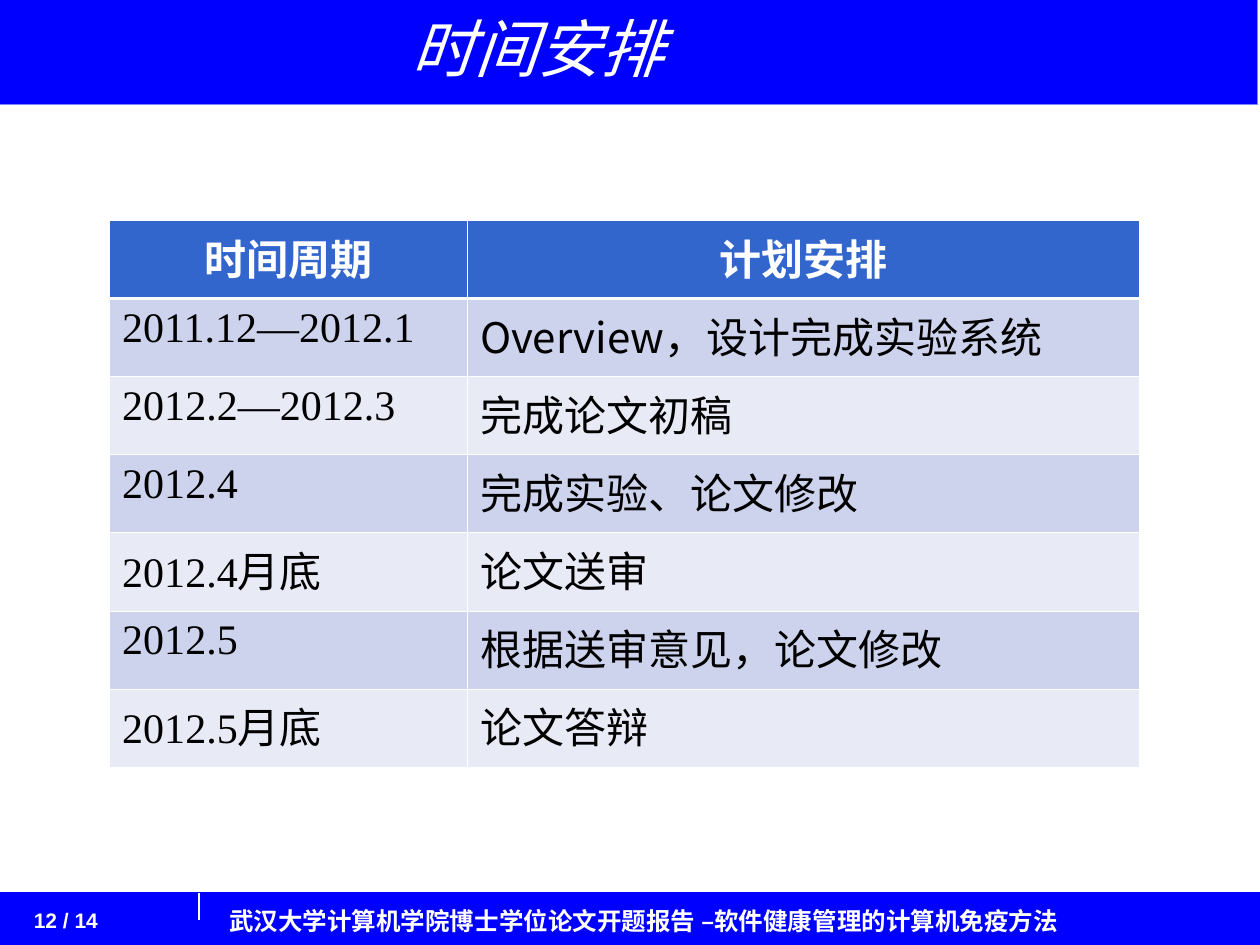
from lxml import etree
from pptx import Presentation
from pptx import util as u
from pptx.dml.color import RGBColor
from pptx.enum import shapes, text
from pptx.oxml import ns

# Content
TITLE = "时间安排"
FOOTER = "武汉大学计算机学院博士学位论文开题报告 –软件健康管理的计算机免疫方法"
PAGE = "12 / 14"
SCHEDULE = [
    ("时间周期", "计划安排"),
    ("2011.12—2012.1", "Overview，设计完成实验系统"),
    ("2012.2—2012.3", "完成论文初稿"),
    ("2012.4", "完成实验、论文修改"),
    ("2012.4月底", "论文送审"),
    ("2012.5", "根据送审意见，论文修改"),
    ("2012.5月底", "论文答辩"),
]

# Format
WIDTH, HEIGHT = 10, 7.5
BLUE, WHITE, BLACK = "0000FF", "FFFFFF", "000000"
HEADER_FILL, ROW_FILLS = "3366CC", ("CDD3EC", "E8EAF6")
CJK, SERIF, SANS = "Noto Sans CJK SC", "Times New Roman", "Arial"
COLUMNS, ROW_HEIGHT = (2.84, 5.33), 0.62
THIN, THICK = 0.45, 1.47


def color(value):
    return RGBColor.from_string(value)


def inches(*lengths):
    return [u.Inches(length) for length in lengths]


def write(frame, content, size=24, font=CJK, fill=WHITE, bold=False, italic=False,
          align=text.PP_ALIGN.LEFT, spacing=None, before=None):
    paragraph = frame.paragraphs[0]
    paragraph.alignment = align
    paragraph.line_spacing = spacing
    if before is not None:
        paragraph.space_before = u.Pt(before)
    run = paragraph.add_run()
    run.text = content
    run.font.size, run.font.name = u.Pt(size), font
    run.font.bold, run.font.italic = bold, italic
    run.font.color.rgb = color(fill)
    east_asian = etree.SubElement(run.font._element, ns.qn("a:ea"))
    east_asian.set("typeface", CJK)


def add_text(slide, box, content, anchor=text.MSO_ANCHOR.TOP, **style):
    frame = slide.shapes.add_textbox(*inches(*box)).text_frame
    frame.word_wrap = True
    frame.vertical_anchor = anchor
    write(frame, content, **style)


def add_band(slide, box, line):
    band = slide.shapes.add_shape(shapes.MSO_SHAPE.RECTANGLE, *inches(*box))
    band.shadow.inherit = False
    band.fill.solid()
    band.fill.fore_color.rgb = color(BLUE)
    band.line.color.rgb = color(line)
    band.line.width = u.Pt(0.25)


def set_borders(cell, top, bottom):
    properties = cell._tc.get_or_add_tcPr()
    for side, width in zip("LRTB", (THIN, THIN, top, bottom)):
        border = etree.SubElement(properties, ns.qn(f"a:ln{side}"), w=str(u.Pt(width)))
        solid = etree.SubElement(border, ns.qn("a:solidFill"))
        etree.SubElement(solid, ns.qn("a:srgbClr"), val=WHITE)


def add_schedule(slide, left, top):
    frame = slide.shapes.add_table(
        len(SCHEDULE), len(COLUMNS),
        *inches(left, top, sum(COLUMNS), ROW_HEIGHT * len(SCHEDULE)))
    table = frame.table
    for column, width in zip(table.columns, COLUMNS):
        column.width = u.Inches(width)
    for i, entries in enumerate(SCHEDULE):
        table.rows[i].height = u.Inches(ROW_HEIGHT)
        header = i == 0
        for j, entry in enumerate(entries):
            cell = table.cell(i, j)
            set_borders(cell, THICK if i == 1 else THIN, THICK if header else THIN)
            cell.fill.solid()
            cell.fill.fore_color.rgb = color(HEADER_FILL if header else ROW_FILLS[(i - 1) % 2])
            if header:
                write(cell.text_frame, entry, bold=True, align=text.PP_ALIGN.CENTER)
            else:
                write(cell.text_frame, entry, font=(SERIF, CJK)[j], fill=BLACK)


def main():
    presentation = Presentation()
    presentation.slide_width, presentation.slide_height = inches(WIDTH, HEIGHT)
    slide = presentation.slides.add_slide(presentation.slide_layouts[6])

    # Footer and title bands
    add_band(slide, (0, 7.08, WIDTH, 0.42), BLUE)
    add_band(slide, (-0.02, -0.02, WIDTH, 0.85), "7889FB")

    # Footer text and divider
    add_text(slide, (1.72, 7.14, 8.11, 0.34), FOOTER, size=14, bold=True)
    divider = slide.shapes.add_connector(
        shapes.MSO_CONNECTOR.STRAIGHT, *inches(1.58, 7.09, 1.58, 7.3))
    divider.line.color.rgb = color(WHITE)
    divider.line.width = u.Pt(0.75)
    etree.SubElement(divider._element.spPr, ns.qn("a:effectLst"))

    # Schedule, title and page number
    add_schedule(slide, 0.87, 1.75)
    add_text(slide, (3.17, 0, 3.42, 0.83), TITLE, anchor=text.MSO_ANCHOR.MIDDLE,
             size=36, italic=True, spacing=0.9)
    add_text(slide, (0.17, 7.15, 1.1, 0.35), PAGE, size=12, font=SANS, bold=True, before=7.5)

    presentation.save("out.pptx")


if __name__ == "__main__":
    main()
